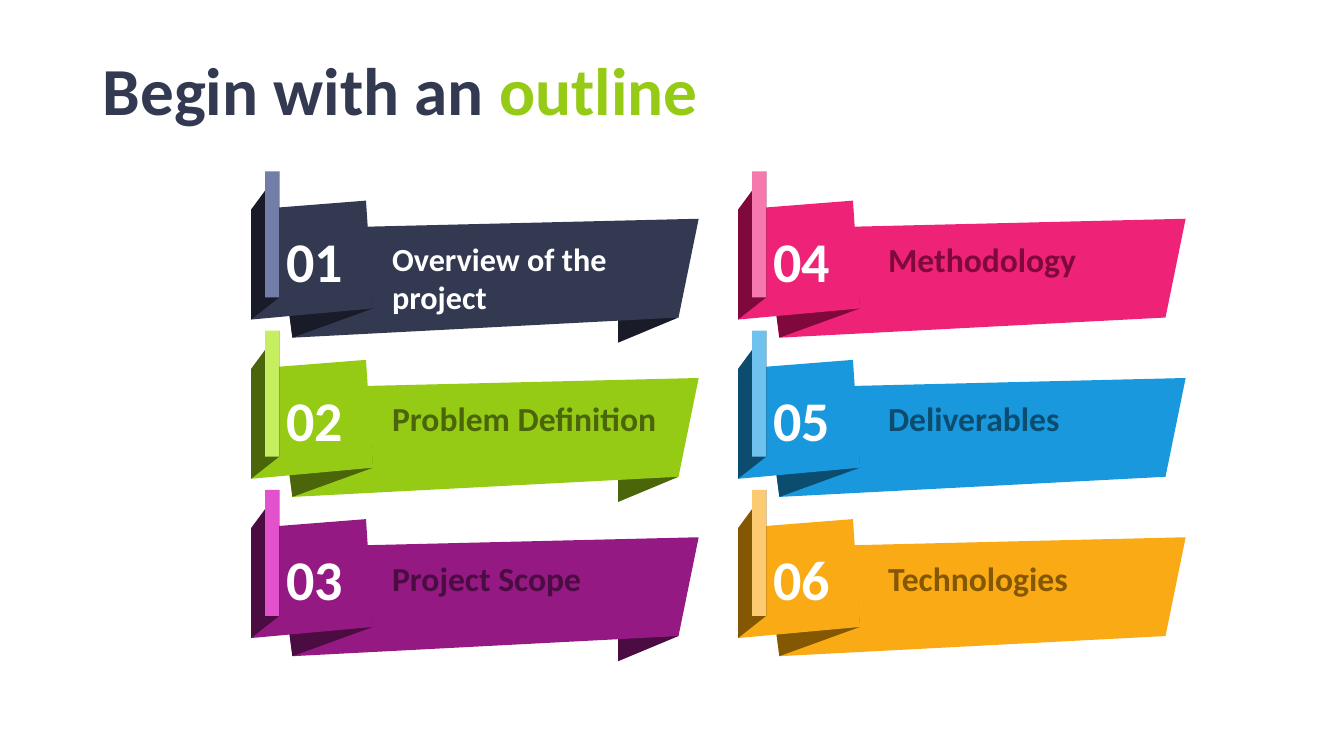
"""Build an outline slide with six folded ribbon banners in two columns."""
import pptx
import pptx.dml.color
import pptx.enum.shapes
import pptx.enum.text
import pptx.util

Inches = pptx.util.Inches
Pt = pptx.util.Pt
RGBColor = pptx.dml.color.RGBColor
Anchor = pptx.enum.text.MSO_ANCHOR
Align = pptx.enum.text.PP_ALIGN

FONT = "Calibri"
WHITE = RGBColor(0xFF, 0xFF, 0xFF)
NAVY, NAVY_DARK, NAVY_LIGHT = RGBColor(0x32, 0x39, 0x51), RGBColor(0x19, 0x1C, 0x28), RGBColor(0x72, 0x7E, 0xA7)
GREEN, GREEN_DARK, GREEN_LIGHT = RGBColor(0x95, 0xCA, 0x15), RGBColor(0x4A, 0x65, 0x0A), RGBColor(0xC5, 0xEF, 0x61)
PURPLE, PURPLE_DARK, PURPLE_LIGHT = RGBColor(0x95, 0x19, 0x83), RGBColor(0x4A, 0x0C, 0x41), RGBColor(0xE1, 0x52, 0xCC)
PINK, PINK_DARK, PINK_LIGHT = RGBColor(0xEE, 0x23, 0x77), RGBColor(0x7E, 0x09, 0x3A), RGBColor(0xF5, 0x79, 0xAC)
BLUE, BLUE_DARK, BLUE_LIGHT = RGBColor(0x1A, 0x98, 0xDD), RGBColor(0x0C, 0x4C, 0x6E), RGBColor(0x70, 0xC2, 0xEE)
ORANGE, ORANGE_DARK, ORANGE_LIGHT = RGBColor(0xFA, 0xAA, 0x15), RGBColor(0x84, 0x57, 0x02), RGBColor(0xFC, 0xCB, 0x71)

TITLE = [("Begin with an ", NAVY), ("outline", GREEN)]
BANNERS = [
    ("Overview of the project", NAVY, NAVY_DARK, NAVY_LIGHT, WHITE, 23, 3.3),
    ("Problem Definition", GREEN, GREEN_DARK, GREEN_LIGHT, GREEN_DARK, 24, 2.94),
    ("Project Scope", PURPLE, PURPLE_DARK, PURPLE_LIGHT, PURPLE_DARK, 24, 2.94),
    ("Methodology", PINK, PINK_DARK, PINK_LIGHT, PINK_DARK, 24, 2.94),
    ("Deliverables", BLUE, BLUE_DARK, BLUE_LIGHT, BLUE_DARK, 24, 2.94),
    ("Technologies", ORANGE, ORANGE_DARK, ORANGE_LIGHT, ORANGE_DARK, 24, 2.94),
]
COLUMN_LEFTS = [2.49, 7.32]
LABEL_OFFSETS = [1.3, 1.39]
ROWS, TOP, ROW_PITCH = 3, 1.7, 1.58

TAIL = [(4.24, 1.45), (3.64, 1.7), (3.64, 1.41)]
RIBBON = [(4.24, 1.45), (0.41, 1.65), (0.28, 0.57), (4.44, 0.47)]
FOLD = [(0.41, 1.65), (1.21, 1.36), (1.14, 0.55), (0.33, 1.06)]
NUMBER_PANEL = [(1.21, 1.36), (1.14, 0.29), (0, 0.38), (0, 1.47)]
SIDE = [(0, 0.38), (0.28, 0), (0.28, 1.25), (0, 1.47)]


def paint(shape, color):
    shape.shadow.inherit = False
    shape.fill.solid()
    shape.fill.fore_color.rgb = color
    shape.line.fill.background()


def add_outline(slide, left, top, points, color):
    corners = [(Inches(left + x), Inches(top + y)) for x, y in points]
    builder = slide.shapes.build_freeform(*corners[0], scale=1.0)
    builder.add_line_segments(corners[1:], close=True)
    shape = builder.convert_to_shape()
    paint(shape, color)
    return shape


def set_text(shape, runs, size, margins, anchor=Anchor.TOP, alignment=Align.LEFT):
    frame = shape.text_frame
    frame.word_wrap = True
    frame.vertical_anchor = anchor
    frame.margin_left, frame.margin_top, frame.margin_right, frame.margin_bottom = map(Inches, margins)
    paragraph = frame.paragraphs[0]
    paragraph.alignment = alignment
    for text, color in runs:
        run = paragraph.add_run()
        run.text = text
        run.font.name = FONT
        run.font.size = Pt(size)
        run.font.bold = True
        run.font.color.rgb = color
    return paragraph


def add_text(slide, box, *text_settings):
    return set_text(slide.shapes.add_textbox(*map(Inches, box)), *text_settings)


def add_banner(slide, index, banner):
    label, main, dark, light, label_color, label_size, label_width = banner
    column, row = divmod(index, ROWS)
    left, top = COLUMN_LEFTS[column], TOP + row * ROW_PITCH
    if column == 0:
        add_outline(slide, left, top, TAIL, dark)
    add_outline(slide, left, top, RIBBON, main)
    add_outline(slide, left, top, FOLD, dark)
    panel = add_outline(slide, left, top, NUMBER_PANEL, main)
    set_text(panel, [(f"{index + 1:02d}", WHITE)], 40, (0.1, 0.05, 0.3, 0.05), Anchor.MIDDLE, Align.RIGHT)
    add_outline(slide, left, top, SIDE, dark)
    strip = slide.shapes.add_shape(
        pptx.enum.shapes.MSO_SHAPE.RECTANGLE, *map(Inches, (left + 0.14, top, 0.14, 1.25)))
    paint(strip, light)
    label_box = (left + LABEL_OFFSETS[column], top + 0.47, label_width, 1.41)
    add_text(slide, label_box, [(label, label_color)], label_size, (0.1, 0.2, 0.1, 0))


def main():
    presentation = pptx.Presentation()
    presentation.slide_width, presentation.slide_height = Inches(13.33), Inches(7.5)
    slide = presentation.slides.add_slide(presentation.slide_layouts[6])
    title = add_text(slide, (0.92, 0.31, 11.5, 1.24), TITLE, 48, (0.1, 0.05, 0.1, 0.05), Anchor.MIDDLE)
    title.line_spacing = 0.9
    for index, banner in enumerate(BANNERS):
        add_banner(slide, index, banner)
    presentation.save("out.pptx")


if __name__ == "__main__":
    main()
